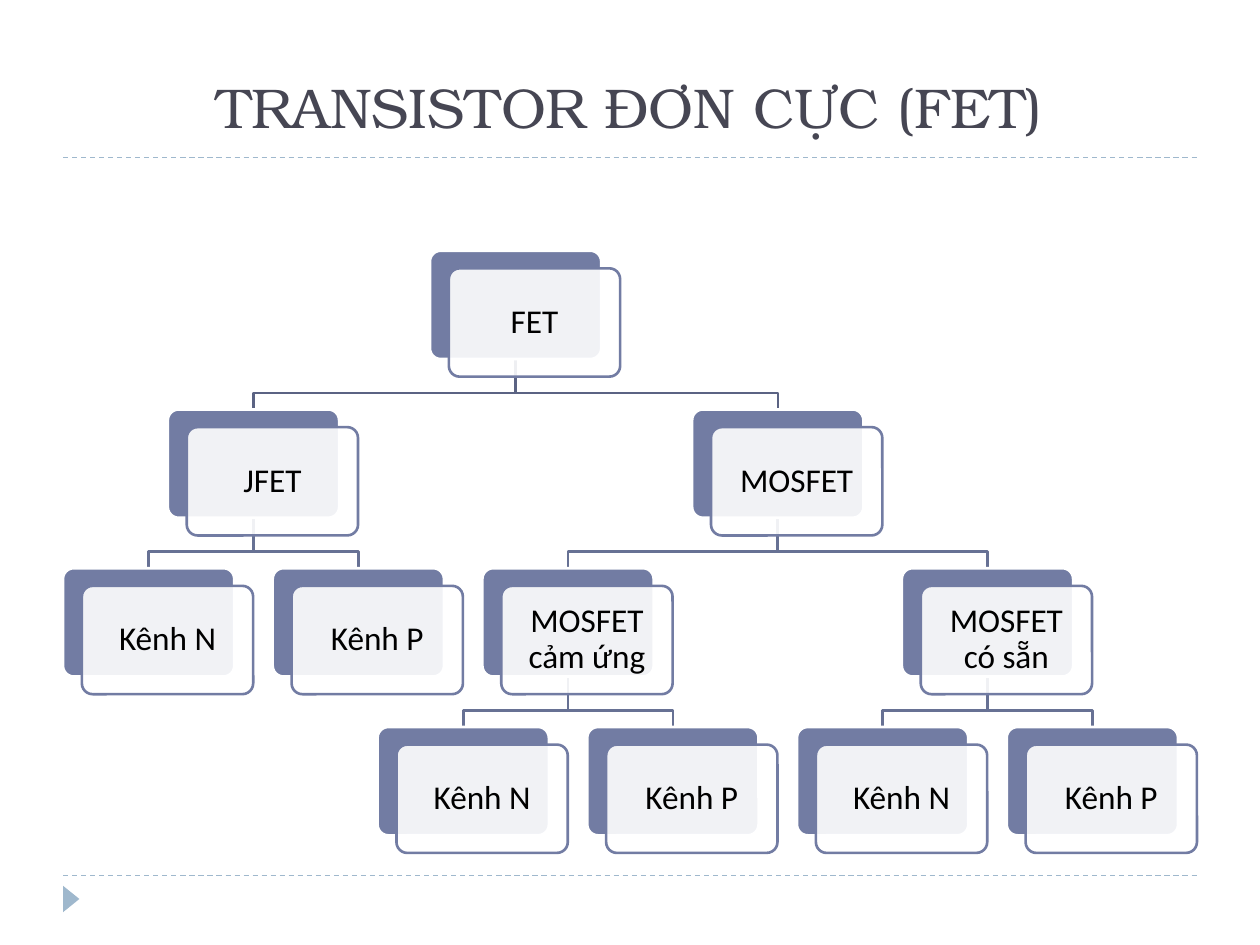
from dataclasses import dataclass, field

from lxml import etree
from pptx import Presentation
from pptx.dml.color import RGBColor
from pptx.enum.dml import MSO_LINE_DASH_STYLE as DASH
from pptx.enum.shapes import MSO_CONNECTOR, MSO_SHAPE
from pptx.enum.text import MSO_ANCHOR, PP_ALIGN
from pptx.oxml.ns import qn
from pptx.util import Inches, Pt

COLORS = {
    "title": "464653",
    "accent": "9FB8CD",
    "card": "727CA3",
    "white": "FFFFFF",
    "text": "000000",
    "upper_link": "5B6383",
    "lower_link": "677194",
}
CARD_WIDTH, CARD_HEIGHT = Inches(1.36), Inches(0.86)
OFFSET_X, OFFSET_Y = Inches(0.15), Inches(0.14)
LEVEL_STEP = Inches(1.26)
ELBOW_GAP = Inches(0.13)
LAST_COLUMN = 9


@dataclass
class Node:
    """A leaf has its own column; a parent is centred over its children."""
    label: str
    column: float = 0
    children: list = field(default_factory=list)

    def center_column(self):
        if not self.children:
            return self.column
        return (self.children[0].center_column() + self.children[-1].center_column()) / 2


def channels(first, second):
    return [Node("Kênh N", first), Node("Kênh P", second)]


FET_TREE = Node("FET", children=[
    Node("JFET", children=channels(0, 2)),
    Node("MOSFET", children=[
        Node("MOSFET cảm ứng", children=channels(3, 5)),
        Node("MOSFET có sẵn", children=channels(7, 9)),
    ]),
])


def color(name):
    return RGBColor.from_string(COLORS[name])


def style_paragraph(paragraph, font_name, size, color_name):
    paragraph.alignment = PP_ALIGN.CENTER
    paragraph.font.name = font_name
    paragraph.font.size = Pt(size)
    paragraph.font.color.rgb = color(color_name)


def add_rule(slide, left, top, width):
    rule = slide.shapes.add_connector(MSO_CONNECTOR.STRAIGHT, left, top, left + width, top)
    rule.line.color.rgb = color("accent")
    rule.line.width = Pt(0.75)
    rule.line.dash_style = DASH.DASH
    etree.SubElement(rule.element.spPr, qn("a:effectLst"))


def add_header(slide, left, top, width, height):
    title = slide.shapes.add_textbox(left, top, width, height)
    frame = title.text_frame
    frame.word_wrap = True
    frame.vertical_anchor = MSO_ANCHOR.BOTTOM
    frame.text = "TRANSISTOR ĐƠN CỰC (FET)"
    style_paragraph(frame.paragraphs[0], "TeX Gyre Bonum", 32, "title")
    add_rule(slide, left, top + height + Inches(0.09), width)


def add_footer(slide, left, top, width):
    add_rule(slide, left, top, width)
    marker = slide.shapes.add_shape(
        MSO_SHAPE.ISOSCELES_TRIANGLE, left - Inches(0.04), top + Inches(0.12),
        Inches(0.21), Inches(0.13))
    marker.rotation = 90
    marker.shadow.inherit = False
    marker.fill.solid()
    marker.fill.fore_color.rgb = color("accent")
    marker.line.fill.background()


def add_card_layer(slide, left, top, fill, line):
    layer = slide.shapes.add_shape(
        MSO_SHAPE.ROUNDED_RECTANGLE, left, top, CARD_WIDTH, CARD_HEIGHT)
    layer.adjustments[0] = 0.1
    layer.shadow.inherit = False
    layer.fill.solid()
    layer.fill.fore_color.rgb = color(fill)
    layer.line.color.rgb = color(line)
    layer.line.width = Pt(1.5)
    return layer


def add_card(slide, label, left, top):
    add_card_layer(slide, left, top, "card", "white")
    front = add_card_layer(slide, left + OFFSET_X, top + OFFSET_Y, "white", "card")
    fill_color = front.element.spPr.find(qn("a:solidFill"))[0]
    etree.SubElement(fill_color, qn("a:alpha"), val="90000")
    frame = front.text_frame
    frame.word_wrap = True
    frame.vertical_anchor = MSO_ANCHOR.MIDDLE
    frame.margin_left = frame.margin_right = Inches(0.08)
    frame.margin_top = frame.margin_bottom = Inches(0.08)
    frame.text = label
    paragraph = frame.paragraphs[0]
    paragraph.line_spacing = 0.9
    style_paragraph(paragraph, "Calibri", 19, "text")


def add_link(slide, start, end, color_name):
    """Draw an elbow from a parent's bottom centre to a child's top centre."""
    elbow_y = end[1] - ELBOW_GAP
    builder = slide.shapes.build_freeform(*start)
    builder.add_line_segments([(start[0], elbow_y), (end[0], elbow_y), end], close=False)
    link = builder.convert_to_shape()
    link.shadow.inherit = False
    link.fill.background()
    link.line.color.rgb = color(color_name)
    link.line.width = Pt(1.5)


def walk(node, level=0):
    yield node, level
    for child in node.children:
        yield from walk(child, level + 1)


def add_tree(slide, root, left, top, width):
    column_step = (width - CARD_WIDTH - OFFSET_X) / LAST_COLUMN

    def card_corner(node, level):
        return round(left + node.center_column() * column_step), top + level * LEVEL_STEP

    for node, level in walk(root):
        x, y = card_corner(node, level)
        for child in node.children:
            child_x, child_y = card_corner(child, level + 1)
            add_link(slide, (x + CARD_WIDTH // 2, y + CARD_HEIGHT),
                     (child_x + CARD_WIDTH // 2, child_y),
                     "lower_link" if level else "upper_link")
    for node, level in walk(root):
        add_card(slide, node.label, *card_corner(node, level))


def main():
    presentation = Presentation()
    presentation.slide_width, presentation.slide_height = Inches(10), Inches(7.5)
    slide = presentation.slides.add_slide(presentation.slide_layouts[6])
    left, width = Inches(0.5), Inches(9)
    add_footer(slide, left, Inches(6.95), width)
    add_header(slide, left, Inches(0.29), width, Inches(0.87))
    add_tree(slide, FET_TREE, left, Inches(1.99), width)
    presentation.save("out.pptx")


if __name__ == "__main__":
    main()
